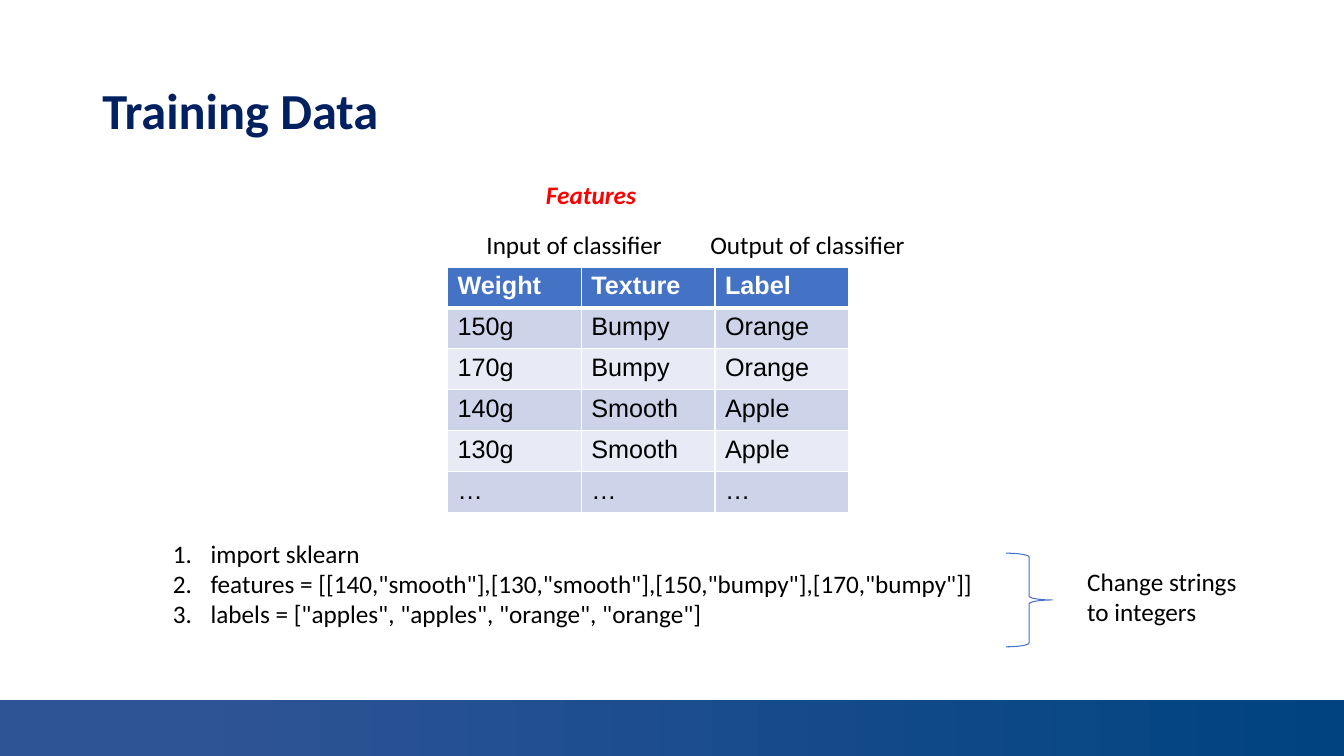
from dataclasses import dataclass

from lxml.etree import SubElement as Sub
from pptx import Presentation
from pptx.dml.color import RGBColor as RGB
from pptx.enum.shapes import MSO_SHAPE as Kind
from pptx.enum.text import MSO_ANCHOR as Anchor
from pptx.oxml.ns import qn
from pptx.shapes.autoshape import Shape
from pptx.slide import Slide
from pptx.table import _Cell as Cell
from pptx.text.text import Font
from pptx.util import Cm, Pt

BLACK = RGB(0x00, 0x00, 0x00)
WHITE = RGB(0xFF, 0xFF, 0xFF)
RED = RGB(0xFF, 0x00, 0x00)
NAVY = RGB(0x00, 0x20, 0x60)
BLUE = RGB(0x44, 0x72, 0xC4)
DARK = RGB(0xCD, 0xD4, 0xEA)
LIGHT = RGB(0xE8, 0xEB, 0xF5)
START = RGB(0x2F, 0x54, 0x96)
END = RGB(0x00, 0x43, 0x80)

WIDTH, HEIGHT = 33.87, 19.05
COL, ROW = 3.37, 1.03

FRUIT = [
    ("Weight", "Texture", "Label"),
    ("150g", "Bumpy", "Orange"),
    ("170g", "Bumpy", "Orange"),
    ("140g", "Smooth", "Apple"),
    ("130g", "Smooth", "Apple"),
    ("…", "…", "…"),
]

CODE = """import sklearn
features = [[140,"smooth"],[130,"smooth"],[150,"bumpy"],[170,"bumpy"]]
labels = ["apples", "apples", "orange", "orange"]"""


@dataclass
class Label:
    """A text box, with its place and size in centimetres."""
    text: str
    left: float
    top: float
    width: float
    height: float
    size: int = 18
    color: RGB = BLACK
    bold: bool = False
    italic: bool = False


TITLE = Label("Training Data", 2.33, 1.02, 29.21, 3.68, 36, NAVY, True)
STEPS = Label(CODE, 4.11, 13.44, 25.53, 2.57)
NOTES = [
    Label("Features", 13.51, 4.39, 4.52, 1.02, color=RED, bold=True, italic=True),
    Label("Output of classifier", 17.65, 5.66, 6.32, 1.02),
    Label("Input of classifier", 12.01, 5.66, 6.32, 1.02),
    Label("Change strings to integers", 27.15, 14.15, 4.62, 1.8),
]


def style(font: Font, name: str, size: int, color: RGB, bold: bool) -> None:
    font.name = name
    font.size = Pt(size)
    font.color.rgb = color
    font.bold = bold


def add_label(slide: Slide, label: Label) -> Shape:
    box = slide.shapes.add_textbox(Cm(label.left), Cm(label.top),
                                   Cm(label.width), Cm(label.height))
    frame = box.text_frame
    frame.word_wrap = True
    frame.text = label.text
    for para in frame.paragraphs:
        for run in para.runs:
            style(run.font, "Calibri", label.size, label.color, label.bold)
            run.font.italic = label.italic
    return box


def add_title(slide: Slide) -> None:
    frame = add_label(slide, TITLE).text_frame
    frame.vertical_anchor = Anchor.MIDDLE
    frame.paragraphs[0].line_spacing = 0.9


def add_steps(slide: Slide) -> None:
    """Add the code as a numbered list."""
    indent = Cm(0.95)
    for para in add_label(slide, STEPS).text_frame.paragraphs:
        props = para._p.get_or_add_pPr()
        props.set("marL", str(indent))
        props.set("indent", str(-indent))
        Sub(props, qn("a:buFont"), typeface="+mj-lt")
        Sub(props, qn("a:buAutoNum"), type="arabicPeriod")


def add_edges(cell: Cell, top: int, bottom: int) -> None:
    """Give the cell white borders; top and bottom are widths in points."""
    props = cell._tc.get_or_add_tcPr()
    for side, width in (("L", 1), ("R", 1), ("T", top), ("B", bottom)):
        line = Sub(props, qn(f"a:ln{side}"), w=str(Pt(width)))
        Sub(Sub(line, qn("a:solidFill")), qn("a:srgbClr"), val=str(WHITE))


def add_fruit(slide: Slide) -> None:
    rows, cols = len(FRUIT), len(FRUIT[0])
    table = slide.shapes.add_table(rows, cols, Cm(11.28), Cm(6.73),
                                   Cm(cols * COL), Cm(rows * ROW)).table
    for col in table.columns:
        col.width = Cm(COL)
    for i, words in enumerate(FRUIT):
        head = i == 0
        fill = BLUE if head else DARK if i % 2 else LIGHT
        for j, word in enumerate(words):
            cell = table.cell(i, j)
            cell.text = word
            font = cell.text_frame.paragraphs[0].runs[0].font
            style(font, "Arial", 18, WHITE if head else BLACK, head)
            add_edges(cell, 3 if i == 1 else 1, 3 if head else 1)
            cell.fill.solid()
            cell.fill.fore_color.rgb = fill


def add_band(slide: Slide) -> None:
    top = 17.65
    band = slide.shapes.add_shape(Kind.RECTANGLE, 0, Cm(top),
                                  Cm(WIDTH), Cm(HEIGHT - top))
    band.shadow.inherit = False
    band.line.fill.background()
    band.fill.gradient()
    band.fill.gradient_angle = 0
    for stop, place, color in zip(band.fill.gradient_stops, (0.13, 1), (START, END)):
        stop.position = place
        stop.color.rgb = color


def add_brace(slide: Slide) -> None:
    brace = slide.shapes.add_shape(Kind.RIGHT_BRACE, Cm(25.35), Cm(13.94),
                                   Cm(1.17), Cm(2.36))
    brace.shadow.inherit = False
    brace.fill.background()
    brace.line.color.rgb = BLUE
    brace.line.width = Pt(0.75)


def main() -> None:
    deck = Presentation()
    deck.slide_width, deck.slide_height = Cm(WIDTH), Cm(HEIGHT)
    slide = deck.slides.add_slide(deck.slide_layouts[6])
    add_band(slide)
    add_title(slide)
    add_fruit(slide)
    add_steps(slide)
    for note in NOTES:
        add_label(slide, note)
    add_brace(slide)
    deck.save("out.pptx")


if __name__ == "__main__":
    main()
